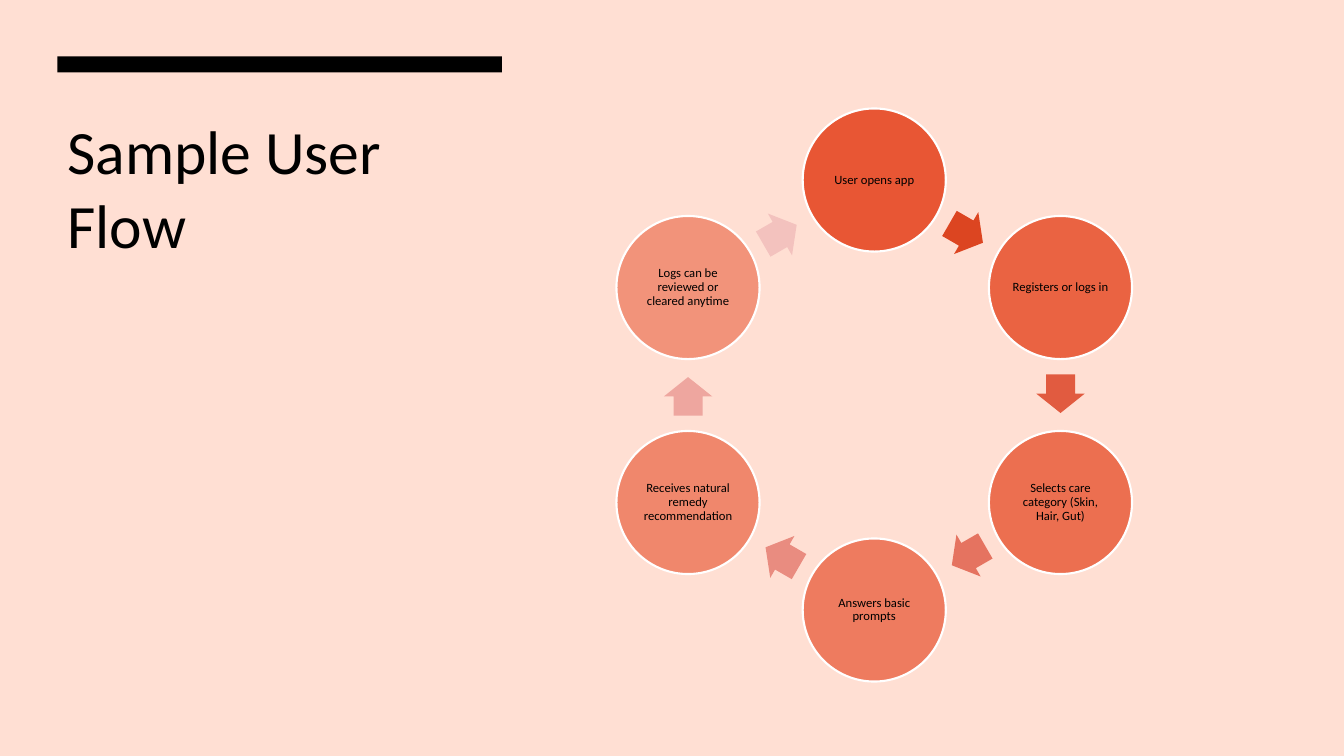
from dataclasses import dataclass
from math import cos, radians, sin

from lxml.etree import SubElement
from pptx import Presentation
from pptx.dml.color import RGBColor
from pptx.enum.shapes import MSO_SHAPE
from pptx.enum.text import MSO_ANCHOR, PP_ALIGN
from pptx.oxml.ns import qn
from pptx.util import Inches, Pt


@dataclass(frozen=True)
class Theme:
    font: str = "Calibri"
    title_size: int = 44
    step_size: int = 9
    outline_width: float = 1.5
    background: str = "FFDFD3"
    ink: str = "000000"
    outline: str = "FFFFFF"
    step: str = "E64823"
    arrows: tuple = ("DC4521", "E15B40", "E57360", "E98C80", "EEA69F", "F3C2BE")


class FlowSlide:
    COLUMNS = 40

    def __init__(self, deck, theme):
        self.theme = theme
        self.unit = deck.slide_width / self.COLUMNS
        self.slide = deck.slides.add_slide(deck.slide_layouts[6])
        backdrop = self.slide.background.fill
        backdrop.solid()
        backdrop.fore_color.rgb = RGBColor.from_string(theme.background)

    def box(self, *cells):
        return [round(cell * self.unit) for cell in cells]

    def centered(self, column, row, width, height):
        return column - width / 2, row - height / 2, width, height

    def shape(self, preset, cells, color):
        drawn = self.slide.shapes.add_shape(preset, *self.box(*cells))
        drawn.shadow.inherit = False
        drawn.fill.solid()
        drawn.fill.fore_color.rgb = RGBColor.from_string(color)
        drawn.line.fill.background()
        return drawn

    def set_text(self, frame, wording, size, align):
        frame.word_wrap = True
        paragraph = frame.paragraphs[0]
        paragraph.text = wording
        paragraph.alignment = align
        paragraph.font.name = self.theme.font
        paragraph.font.size = Pt(size)
        paragraph.font.color.rgb = RGBColor.from_string(self.theme.ink)
        return paragraph

    def title(self, wording, cells):
        heading = self.slide.shapes.add_textbox(*self.box(*cells))
        self.set_text(heading.text_frame, wording, self.theme.title_size, PP_ALIGN.LEFT)

    def bar(self, cells):
        self.shape(MSO_SHAPE.RECTANGLE, cells, self.theme.ink)

    def step(self, wording, column, row, diameter, opacity):
        cells = self.centered(column, row, diameter, diameter)
        circle = self.shape(MSO_SHAPE.OVAL, cells, self.theme.step)
        tint = circle.element.spPr.find(qn("a:solidFill"))[0]
        SubElement(tint, qn("a:alpha"), val=str(opacity * 1000))
        circle.line.color.rgb = RGBColor.from_string(self.theme.outline)
        circle.line.width = Pt(self.theme.outline_width)
        frame = circle.text_frame
        frame.margin_left = frame.margin_right = Inches(0.01)
        frame.margin_top = frame.margin_bottom = Inches(0.01)
        frame.vertical_anchor = MSO_ANCHOR.MIDDLE
        label = self.set_text(frame, wording, self.theme.step_size, PP_ALIGN.CENTER)
        label.line_spacing = 0.9

    def arrow(self, column, row, heading, color):
        cells = self.centered(column, row, 1.15, 1.44)
        pointer = self.shape(MSO_SHAPE.RIGHT_ARROW, cells, color)
        pointer.adjustments[0] = 0.6
        pointer.adjustments[1] = 0.5
        pointer.rotation = heading

    def cycle(self, steps, column, row, radius, diameter, lag):
        turn = 360 / len(steps)
        reach = radius * cos(radians(turn / 2))
        for index, (wording, color) in enumerate(zip(steps, self.theme.arrows)):
            angle = radians(index * turn - 90)
            self.step(wording, column + radius * cos(angle),
                      row + radius * sin(angle), diameter, 90 - 8 * index)
            heading = (index + 0.5) * turn
            facing = radians(heading)
            self.arrow(column + reach * sin(facing) - lag * cos(facing),
                       row - reach * cos(facing) - lag * sin(facing),
                       heading, color)


def main():
    deck = Presentation()
    deck.slide_width = Inches(13.33)
    deck.slide_height = Inches(7.5)
    flow = FlowSlide(deck, Theme())
    flow.title("Sample User Flow", (1.71, 3.21, 13.23, 11.04))
    flow.bar((1.71, 1.68, 13.23, 0.48))
    flow.cycle(
        [
            "User opens app",
            "Registers or logs in",
            "Selects care category (Skin, Hair, Gut)",
            "Answers basic prompts",
            "Receives natural remedy recommendation",
            "Logs can be reviewed or cleared anytime",
        ],
        column=26.02, row=11.76, radius=6.4, diameter=4.26, lag=0.04,
    )
    deck.save("out.pptx")


if __name__ == "__main__":
    main()
